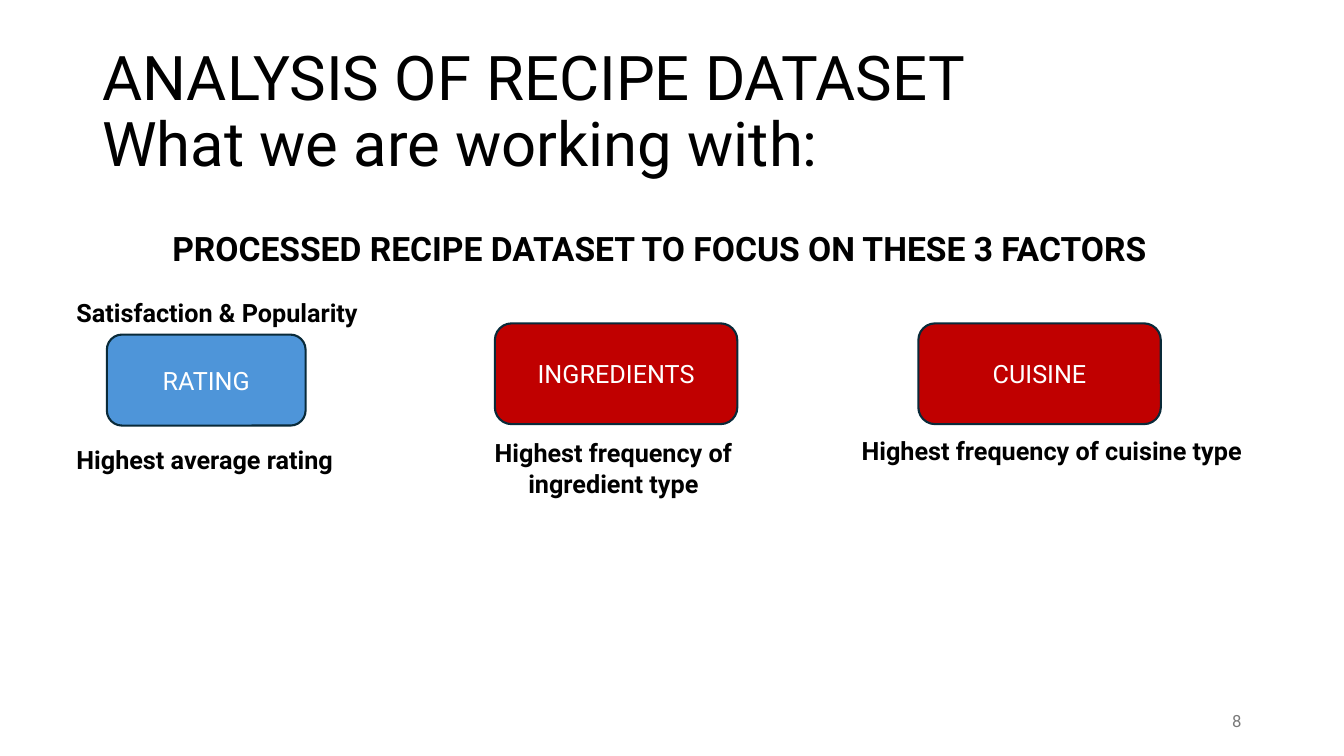
"""Build the slide that names the three factors of the recipe dataset."""
from dataclasses import dataclass

from pptx import Presentation
from pptx.dml.color import RGBColor
from pptx.enum.shapes import MSO_SHAPE
from pptx.enum.text import MSO_ANCHOR, PP_ALIGN
from pptx.util import Pt

ROUND = MSO_SHAPE.ROUNDED_RECTANGLE
TOP, MIDDLE = MSO_ANCHOR.TOP, MSO_ANCHOR.MIDDLE
LEFT, CENTER, RIGHT = PP_ALIGN.LEFT, PP_ALIGN.CENTER, PP_ALIGN.RIGHT


@dataclass(frozen=True)
class Theme:
    font: str = "Roboto"
    ink: str = "000000"
    white: str = "FFFFFF"
    gray: str = "797979"
    blue: str = "4E95D9"
    red: str = "C00000"
    edge: str = "092A39"
    title: int = 44
    head: int = 24
    body: int = 18
    small: int = 12


class Page:
    def __init__(self, slide, theme):
        self.slide = slide
        self.theme = theme

    def style(self, shape, text, size, color, bold=False, align=LEFT,
              anchor=TOP, spacing=1.0):
        frame = shape.text_frame
        frame.word_wrap = True
        frame.vertical_anchor = anchor
        frame.text = text
        for para in frame.paragraphs:
            para.alignment = align
            para.line_spacing = spacing
            for run in para.runs:
                run.font.name = self.theme.font
                run.font.size = Pt(size)
                run.font.bold = bold
                run.font.color.rgb = RGBColor.from_string(color)

    def text(self, box, text, size, color, **look):
        shape = self.slide.shapes.add_textbox(*map(Pt, box))
        self.style(shape, text, size, color, **look)

    def label(self, box, text, size=None, align=LEFT):
        self.text(box, text, size or self.theme.body, self.theme.ink,
                  bold=True, align=align)

    def card(self, box, text, fill):
        shape = self.slide.shapes.add_shape(ROUND, *map(Pt, box))
        shape.shadow.inherit = False
        shape.fill.solid()
        shape.fill.fore_color.rgb = RGBColor.from_string(fill)
        shape.line.color.rgb = RGBColor.from_string(self.theme.edge)
        shape.line.width = Pt(1.5)
        self.style(shape, text, self.theme.body, self.theme.white,
                   align=CENTER, anchor=MIDDLE)


def main():
    deck = Presentation()
    deck.slide_width, deck.slide_height = Pt(960), Pt(540)
    theme = Theme()
    page = Page(deck.slides.add_slide(deck.slide_layouts[6]), theme)

    page.text((66, 28.75, 828, 104.4),
              "ANALYSIS OF RECIPE DATASET\nWhat we are working with:",
              theme.title, theme.ink, anchor=MIDDLE, spacing=0.9)
    page.text((678, 500.5, 216, 28.75), "8", theme.small, theme.gray,
              align=RIGHT, anchor=MIDDLE)
    page.label((116, 159, 761, 36),
               "PROCESSED RECIPE DATASET TO FOCUS ON THESE 3 FACTORS",
               theme.head)

    for box, name, fill in (
        ((76.3, 239, 142, 65), "RATING", theme.blue),
        ((353.5, 231, 173.2, 72), "INGREDIENTS", theme.red),
        ((656, 231, 173.2, 72), "CUISINE", theme.red),
    ):
        page.card(box, name, fill)

    for box, note, align in (
        ((47.5, 208.8, 234, 29), "Satisfaction & Popularity", LEFT),
        ((47.5, 314, 212.4, 29), "Highest average rating", LEFT),
        ((312.5, 309, 251.3, 51), "Highest frequency of ingredient type",
         CENTER),
        ((608.4, 307.5, 293, 29), "Highest frequency of cuisine type", LEFT),
    ):
        page.label(box, note, align=align)

    deck.save("out.pptx")


if __name__ == "__main__":
    main()
